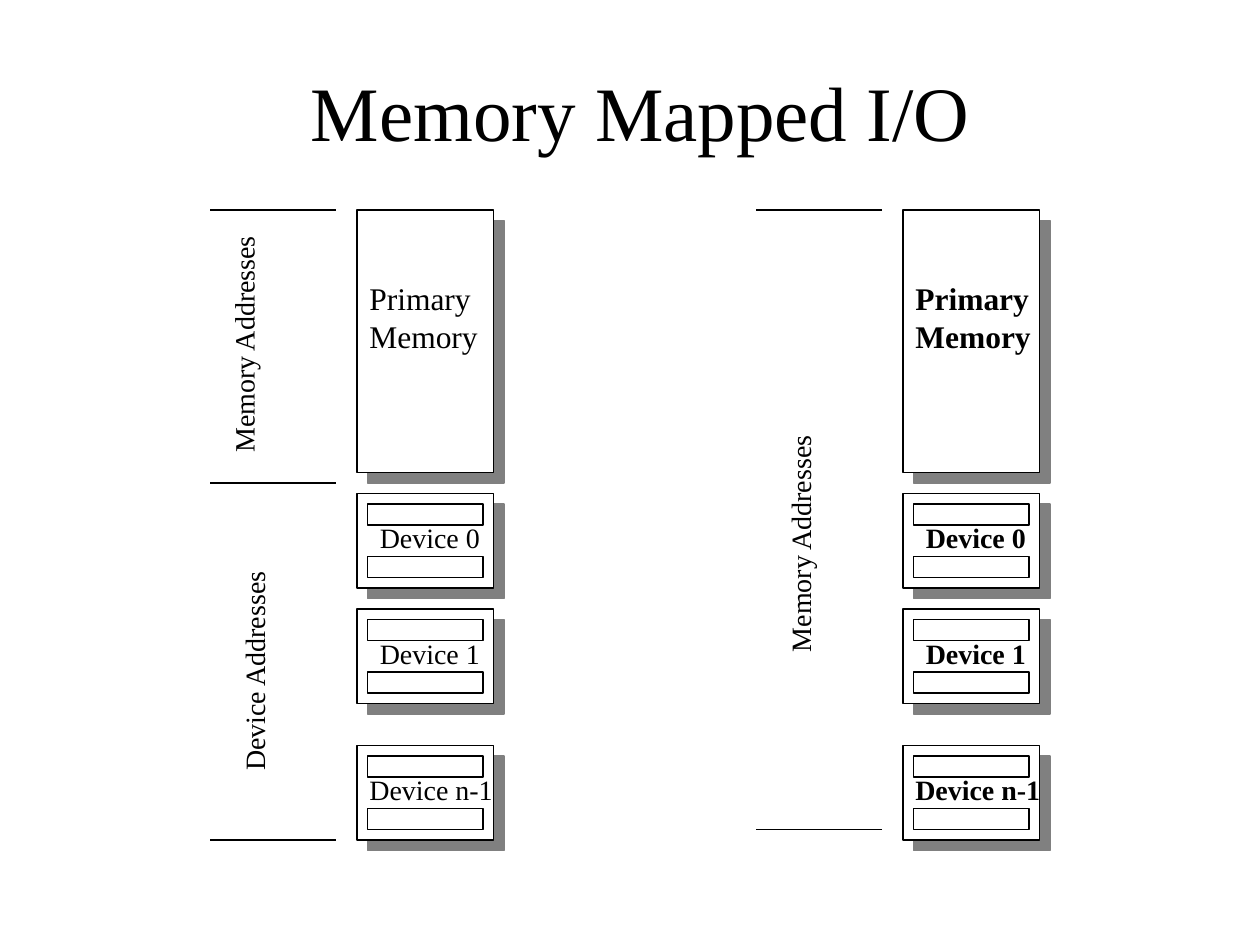
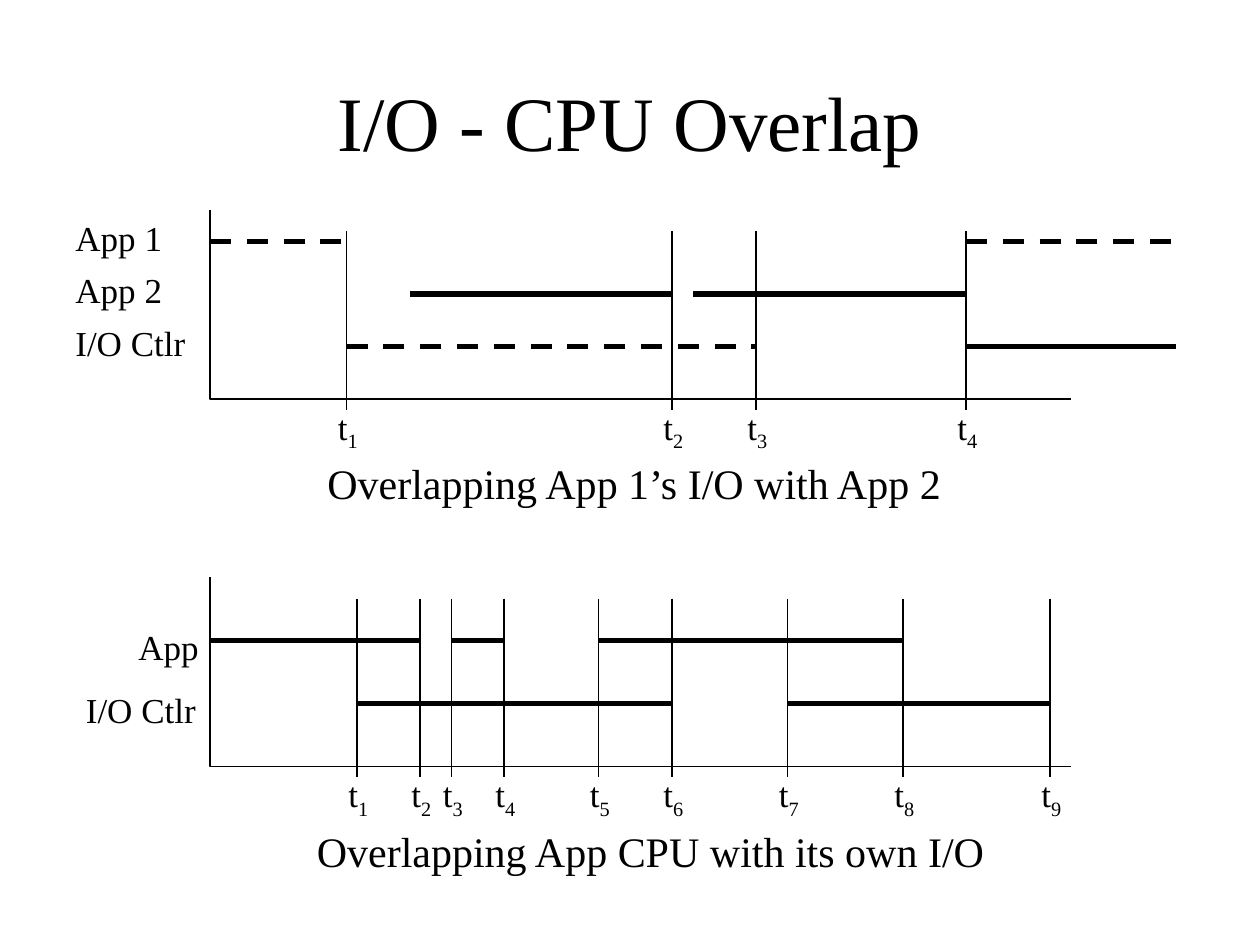
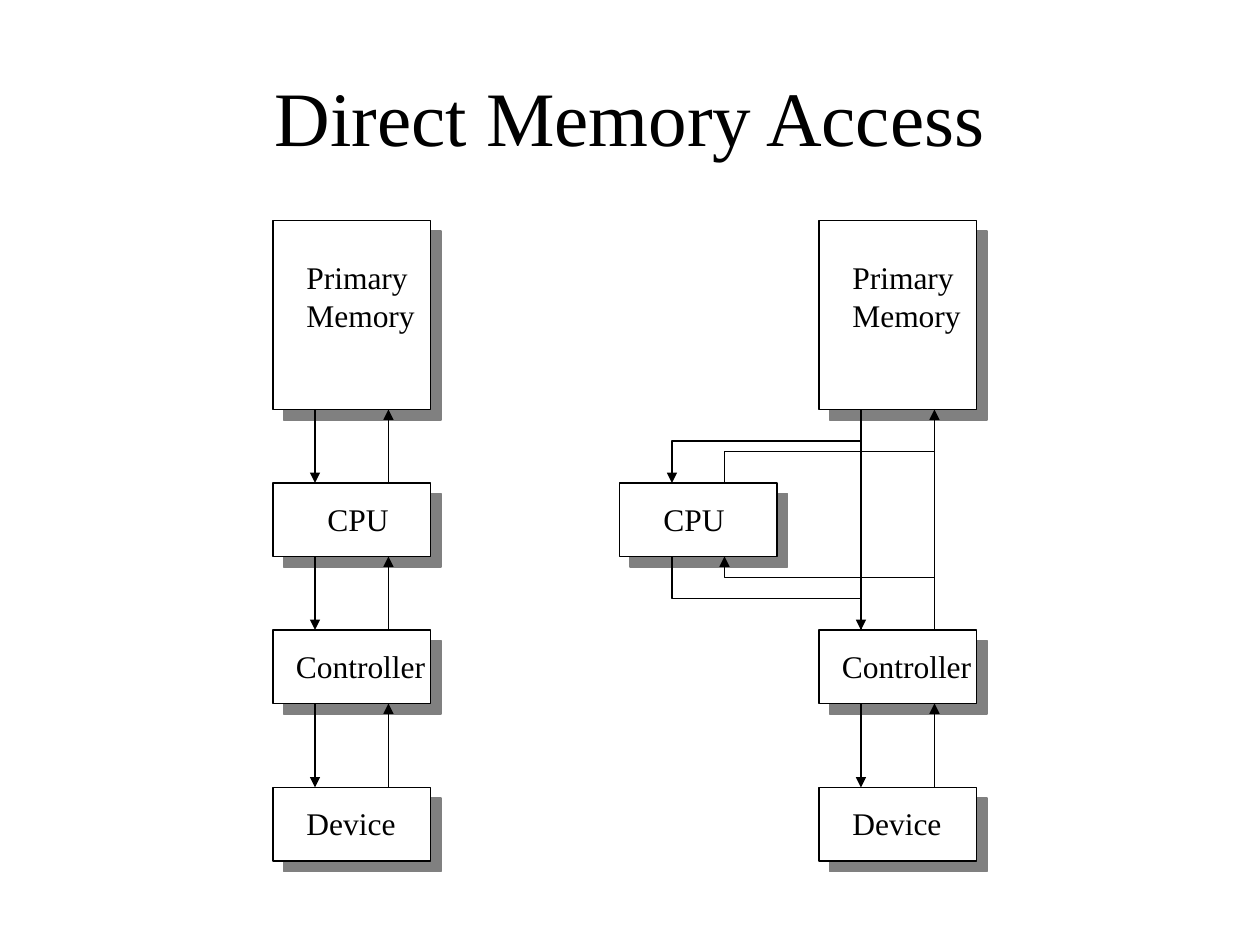
import pptx
import pptx.dml.color
import pptx.enum.dml
import pptx.enum.shapes
import pptx.enum.text
import pptx.oxml
import pptx.oxml.ns
import pptx.util
from lxml import etree

COLORS = {"ink": "000000", "paper": "FFFFFF", "shadow": "808080"}
FONT = "Times New Roman"
GRID = 12
THIN, THICK = 0.75, 3
LINE_HEIGHT = {16: 0.37, 18: 0.4, 20: 0.43, 24: 0.5}
DASH = pptx.enum.dml.MSO_LINE.DASH
LABEL_FRAME = {"word_wrap": False, "auto_size": pptx.enum.text.MSO_AUTO_SIZE.SHAPE_TO_FIT_TEXT}
TITLE_FRAME = {
    "word_wrap": True,
    "auto_size": pptx.enum.text.MSO_AUTO_SIZE.NONE,
    "vertical_anchor": pptx.enum.text.MSO_ANCHOR.MIDDLE,
}


def grid(n):
    """Convert grid steps, twelve to the inch, to a length."""
    return pptx.util.Inches(n / GRID)


def rgb(name):
    """Look up a named colour."""
    return pptx.dml.color.RGBColor.from_string(COLORS[name])


def apply(target, values):
    """Set every attribute listed in a dict."""
    for name, value in values.items():
        setattr(target, name, value)


def add_run(p, text, size, bold=False, subscript=False):
    """Append a run in the deck's font."""
    r = p.add_run()
    r.text = text
    apply(r.font, {"name": FONT, "size": pptx.util.Pt(size), "bold": bold})
    r.font.color.rgb = rgb("ink")
    if subscript:
        r.font._element.set("baseline", "-25000")


def style_line(sp, width=THIN, dash=None, arrow=False):
    """Format the outline of a shape or connector."""
    sp.line.color.rgb = rgb("ink")
    apply(sp.line, {"width": pptx.util.Pt(width), "dash_style": dash})
    if arrow:
        ln = sp._element.spPr.find(pptx.oxml.ns.qn("a:ln"))
        etree.SubElement(ln, pptx.oxml.ns.qn("a:tailEnd"), type="triangle")


def add_slide(prs, title, box):
    """Add a title-only slide with its title in the given box."""
    s = prs.slides.add_slide(prs.slide_layouts[5])
    sp = s.shapes.title
    apply(sp, dict(zip(("left", "top", "width", "height"), map(grid, box))))
    tf = sp.text_frame
    apply(tf, TITLE_FRAME)
    p = tf.paragraphs[0]
    p.alignment = pptx.enum.text.PP_ALIGN.CENTER
    add_run(p, title, 44)
    return s


def add_label(s, x, y, width, text, size, bold=False, sub="", vertical=False):
    """Place a text label with its visible corner at x, y and its length in inches."""
    lines = text.split("\n")
    w = pptx.util.Inches(width)
    h = pptx.util.Inches(LINE_HEIGHT[size] + 0.3 * (len(lines) - 1))
    left, top = grid(x), grid(y)
    if vertical:
        left, top = left + (h - w) // 2, top + (w - h) // 2
    sp = s.shapes.add_textbox(left, top, w, h)
    sp.rotation = 270 if vertical else 0
    tf = sp.text_frame
    apply(tf, LABEL_FRAME)
    for i, line in enumerate(lines):
        p = tf.add_paragraph() if i else tf.paragraphs[0]
        add_run(p, line, size, bold)
    if sub:
        add_run(p, sub, size, bold, subscript=True)


def add_box(s, x, y, w, h, shadow=False):
    """Draw a white outlined rectangle, with a hard shadow on request."""
    sp = s.shapes.add_shape(pptx.enum.shapes.MSO_SHAPE.RECTANGLE, *map(grid, (x, y, w, h)))
    sp.shadow.inherit = False
    sp.fill.solid()
    sp.fill.fore_color.rgb = rgb("paper")
    style_line(sp)
    if shadow:
        qn = pptx.oxml.ns.qn
        effects = sp._element.spPr.find(qn("a:effectLst"))
        outer = etree.SubElement(effects, qn("a:outerShdw"), blurRad="0", dist=str(pptx.util.Pt(8.5)),
                                 dir="2700000", algn="ctr", rotWithShape="0")
        etree.SubElement(outer, qn("a:srgbClr"), val=COLORS["shadow"])


def add_line(s, x1, y1, x2, y2, **style):
    """Draw a straight connector."""
    cn = s.shapes.add_connector(pptx.enum.shapes.MSO_CONNECTOR.STRAIGHT, *map(grid, (x1, y1, x2, y2)))
    style_line(cn, **style)
    etree.SubElement(cn._element.spPr, pptx.oxml.ns.qn("a:effectLst"))


def add_polyline(s, points, **style):
    """Draw an open outline through the points."""
    fb = s.shapes.build_freeform(*points[0], scale=float(grid(1)))
    fb.add_line_segments(points[1:], close=False)
    sp = fb.convert_to_shape()
    sp.shadow.inherit = False
    sp.fill.background()
    style_line(sp, **style)


def device(s, box, name, dx, width, bold):
    """Draw a device with two registers around its name."""
    x, y, w, h = box
    add_box(s, *box, shadow=True)
    for dy in (1, 6):
        add_box(s, x + 1, y + dy, w - 2, 2)
    add_label(s, x + dx, y + 2, width, name, 16, bold)


def memory_map(s, box, bold=False):
    """Stack primary memory above its devices."""
    x, y, w, h = box
    add_box(s, x, y, w, 25, shadow=True)
    add_label(s, x, y + 6, 1.12 if bold else 1.06, "Primary\nMemory", 18, bold)
    devices = [("Device 0", 27, 1, 1), ("Device 1", 38, 1, 1), ("Device n-1", h - 9, 0, 1.2 if bold else 1.18)]
    for name, dy, dx, width in devices:
        device(s, (x, y + dy, w, 9), name, dx, width, bold)


def address_scale(s, box, marks, labels):
    """Mark address limits and name the ranges between them."""
    x, y, w, h = box
    for dy in (0, *marks, h):
        add_line(s, x + w, y + dy, x, y + dy)
    for text, dx, dy, width in labels:
        add_label(s, x + dx, y + dy, width, text, 16, vertical=True)


def timeline(s, box, rows, ticks, caption):
    """Draw activity bars per row over numbered instants."""
    x, y, w, h = box
    add_polyline(s, [(x, y), (x, y + h), (x + w, y + h)])
    for i, tick in enumerate(ticks, 1):
        add_line(s, x + tick, y + 2, x + tick, y + h + 1)
        add_label(s, x + tick - 2, y + h, 0.37, "t", 20, sub=str(i))
    for name, dy, (label_dx, label_dy, width), bars in rows:
        add_label(s, x + label_dx, y + label_dy, width, name, 20)
        for start, end, dash in bars:
            add_line(s, x + start, y + dy, x + end, y + dy, width=THICK, dash=dash)
    text, dx, width = caption
    add_label(s, x + dx, y + h + 5, width, text, 24)


def component(s, box, name, dx, dy, width):
    """Draw a shadowed component with its name."""
    add_box(s, *box, shadow=True)
    add_label(s, box[0] + dx, box[1] + dy, width, name, 18)


def component_stack(s, box, cpu_dx, cpu_label_dx, gaps):
    """Stack memory, CPU, controller and device, with arrow pairs across the gaps."""
    x, y, w, h = box
    parts = [
        ("Primary\nMemory", 0, 0, 18, 2, 3, 1.06),
        ("CPU", cpu_dx, 25, 7, cpu_label_dx, 1, 0.69),
        ("Controller", 0, 39, 7, 1, 1, 1.23),
        ("Device", 0, h - 7, 7, 2, 1, 0.91),
    ]
    for name, dx, dy, height, label_dx, label_dy, width in parts:
        component(s, (x + dx, y + dy, w, height), name, label_dx, label_dy, width)
    for top, bottom in gaps:
        add_line(s, x + 4, y + top, x + 4, y + bottom, arrow=True)
        add_line(s, x + 11, y + bottom, x + 11, y + top, arrow=True)


def cpu_detours(s, box):
    """Route the paths between the CPU and the direct memory lines."""
    x, y, w, h = box
    routes = [
        (18, 0, 0, 3, 7, True),
        (5, 25, 7, 4, 0, False),
        (0, 18, 14, 18, 21, False),
        (25, 5, 21, 16, 14, True),
    ]
    for start, end, top, turn, bottom, arrow in routes:
        steps = [(start, top), (start, turn), (end, turn), (end, bottom)]
        add_polyline(s, [(x + dx, y + dy) for dx, dy in steps], arrow=arrow)


def memory_mapped_slide(prs):
    """Compare separate device addresses with one memory address range."""
    s = add_slide(prs, "Memory Mapped I/O", (10, 5, 102, 11))
    memory_map(s, (34, 20, 13, 60))
    memory_map(s, (86, 20, 13, 60), bold=True)
    address_scale(s, (20, 20, 12, 60), [26],
                  [("Memory Addresses", 1, 1, 1.94), ("Device Addresses", 2, 33, 1.8)])
    address_scale(s, (72, 20, 12, 59), [], [("Memory Addresses", 2, 20, 1.94)])


def overlap_slide(prs):
    """Show two timelines of overlapping CPU and I/O work."""
    s = add_slide(prs, "I/O - CPU Overlap", (9, 7, 102, 9))
    timeline(s, (20, 20, 82, 18), [
        ("App 1", 3, (-14, 0, 0.89), [(0, 13, DASH), (72, 92, DASH)]),
        ("App 2", 8, (-14, 5, 0.89), [(19, 44, None), (46, 72, None)]),
        ("I/O Ctlr", 13, (-14, 10, 1.07), [(13, 52, DASH), (72, 92, None)]),
    ], [13, 44, 52, 72], ("Overlapping App 1’s I/O with App 2", 10, 5.13))
    timeline(s, (20, 55, 82, 18), [
        ("App", 6, (-8, 4, 0.68), [(0, 20, None), (23, 28, None), (37, 66, None)]),
        ("I/O Ctlr", 12, (-13, 10, 1.07), [(14, 44, None), (55, 80, None)]),
    ], [14, 20, 23, 28, 37, 44, 55, 66, 80], ("Overlapping App CPU with its own I/O", 9, 5.52))


def direct_access_slide(prs):
    """Compare transfers through the CPU with direct memory access."""
    s = add_slide(prs, "Direct Memory Access", (9, 6, 102, 10))
    component_stack(s, (26, 21, 15, 61), 0, 4, [(18, 25), (32, 39), (46, 54)])
    component_stack(s, (78, 21, 15, 61), -19, 3, [(18, 39), (46, 54)])
    cpu_detours(s, (64, 39, 25, 21))


def main():
    """Build and save the deck."""
    prs = pptx.Presentation()
    apply(prs, {"slide_width": pptx.util.Inches(10), "slide_height": pptx.util.Inches(7.5)})
    for build in (memory_mapped_slide, overlap_slide, direct_access_slide):
        build(prs)
    prs.save("out.pptx")


if __name__ == "__main__":
    main()
